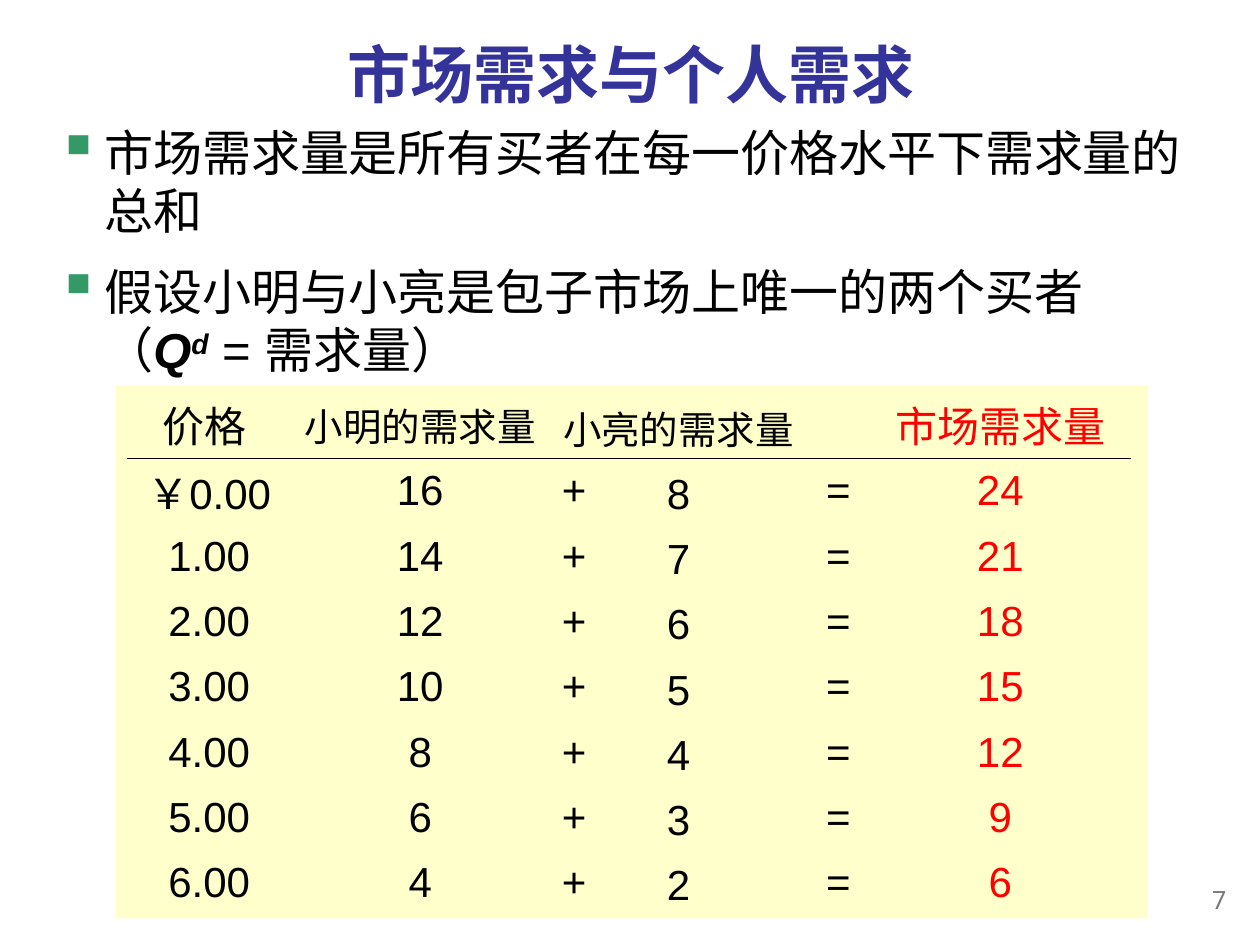
from lxml import etree
from pptx import Presentation
from pptx.dml.color import RGBColor
from pptx.enum.shapes import MSO_CONNECTOR, MSO_SHAPE
from pptx.enum.text import MSO_ANCHOR, PP_ALIGN
from pptx.oxml.ns import qn
from pptx.util import Inches, Pt

COLORS = {"title": "333399", "text": "000000", "market": "FF0000",
          "bullet": "339966", "panel": "FFFFCC", "number": "777777"}


def add_text(s, x, y, w, h, text):
    tf = s.shapes.add_textbox(Inches(x), Inches(y), Inches(w), Inches(h)).text_frame
    tf.word_wrap = True
    tf.text = text
    return tf


def style(p, size, color, name="Arial", align=PP_ALIGN.LEFT):
    p.alignment = align
    for r in p.runs:
        r.font.size = Pt(size)
        r.font.name = name
        r.font.color.rgb = RGBColor.from_string(COLORS[color])


prs = Presentation()
prs.slide_width, prs.slide_height = Inches(10), Inches(7.5)
s = prs.slides.add_slide(prs.slide_layouts[6])

panel = s.shapes.add_shape(MSO_SHAPE.RECTANGLE, Inches(0.92), Inches(3.06), Inches(8.19), Inches(4.23))
panel.shadow.inherit = False
panel.fill.solid()
panel.fill.fore_color.rgb = RGBColor.from_string(COLORS["panel"])
panel.line.fill.background()

tf = add_text(s, 0.09, 0.26, 9.84, 0.64, "市场需求与个人需求")
tf.vertical_anchor = MSO_ANCHOR.MIDDLE
style(tf.paragraphs[0], 36, "title", "Cambria", PP_ALIGN.CENTER)
tf.paragraphs[0].runs[0].font.bold = True

tf = add_text(s, 0.35, 0.92, 9.32, 2.17, "市场需求量是所有买者在每一价格水平下需求量的总和")
p = tf.add_paragraph()
p.text = "假设小明与小亮是包子市场上唯一的两个买者\v（"
p.space_before = Pt(12.2)
for text in ["Q", "d", " = 需求量）"]:
    p.add_run().text = text
for r in p.runs[-3:-1]:
    r.font.bold = r.font.italic = True
p.runs[-2].font._element.set("baseline", "30000")
for p in tf.paragraphs:
    pPr = p._p.get_or_add_pPr()
    pPr.set("marL", str(Inches(0.38)))
    pPr.set("indent", str(-Inches(0.38)))
    color = etree.SubElement(pPr, qn("a:buClr"))
    etree.SubElement(color, qn("a:srgbClr"), val=COLORS["bullet"])
    etree.SubElement(pPr, qn("a:buSzPct"), val="120000")
    etree.SubElement(pPr, qn("a:buChar"), char="▪")
    style(p, 28, "text")

headers = ["价格 ", "小明的需求量", "小亮的需求量", "", "", "市场需求量"]
ming = [16, 14, 12, 10, 8, 6, 4]
liang = [8, 7, 6, 5, 4, 3, 2]
rows = [headers]
for i, (a, b) in enumerate(zip(ming, liang)):
    price = f"{i}.00" if i else "￥0.00"
    rows.append([price, str(a), "+", str(b), "=", str(a + b)])

widths = [1.3, 2.05, 0.29, 1.76, 0.49, 2.08]
table = s.shapes.add_table(len(rows), len(widths), Inches(1.01), Inches(3.1),
                           Inches(sum(widths)), Inches(4.17)).table
table.first_row = table.horz_banding = False
table._tbl.tblPr.find(qn("a:tableStyleId")).text = "{2D5ABB26-0587-4C30-8999-92F81FD0307C}"
for col, width in zip(table.columns, widths):
    col.width = Inches(width)
for i, row in enumerate(table.rows):
    row.height = Inches(3.63 / 7 if i else 0.54)
table.cell(0, 2).merge(table.cell(0, 3))

for i, values in enumerate(rows):
    for j, value in enumerate(values):
        cell = table.cell(i, j)
        cell.fill.background()
        cell.vertical_anchor = MSO_ANCHOR.MIDDLE
        cell.margin_left = cell.margin_right = cell.margin_top = cell.margin_bottom = 0
        cell.text = value
        size = 22 if i == 0 and j in (1, 2) else 24
        align = PP_ALIGN.CENTER
        if i and j == 2:
            cell.margin_left = Inches(0.1)
            align = PP_ALIGN.LEFT
        if i and j == 3:
            cell.margin_right = Inches(widths[2])
        if value in liang or j == 3 or (i == 0 and j == 2):
            cell.margin_top = Inches(0.05)
        style(cell.text_frame.paragraphs[0], size, "market" if j == 5 else "text", align=align)

rule = s.shapes.add_connector(MSO_CONNECTOR.STRAIGHT, Inches(1.01), Inches(3.64), Inches(8.98), Inches(3.64))
rule.line.color.rgb = RGBColor.from_string(COLORS["text"])
rule.line.width = Pt(1)
etree.SubElement(rule._element.spPr, qn("a:effectLst"))

tf = add_text(s, 9.08, 6.97, 0.75, 0.4, "7")
style(tf.paragraphs[0], 14.4, "number", "Roboto", PP_ALIGN.RIGHT)

prs.save("out.pptx")
